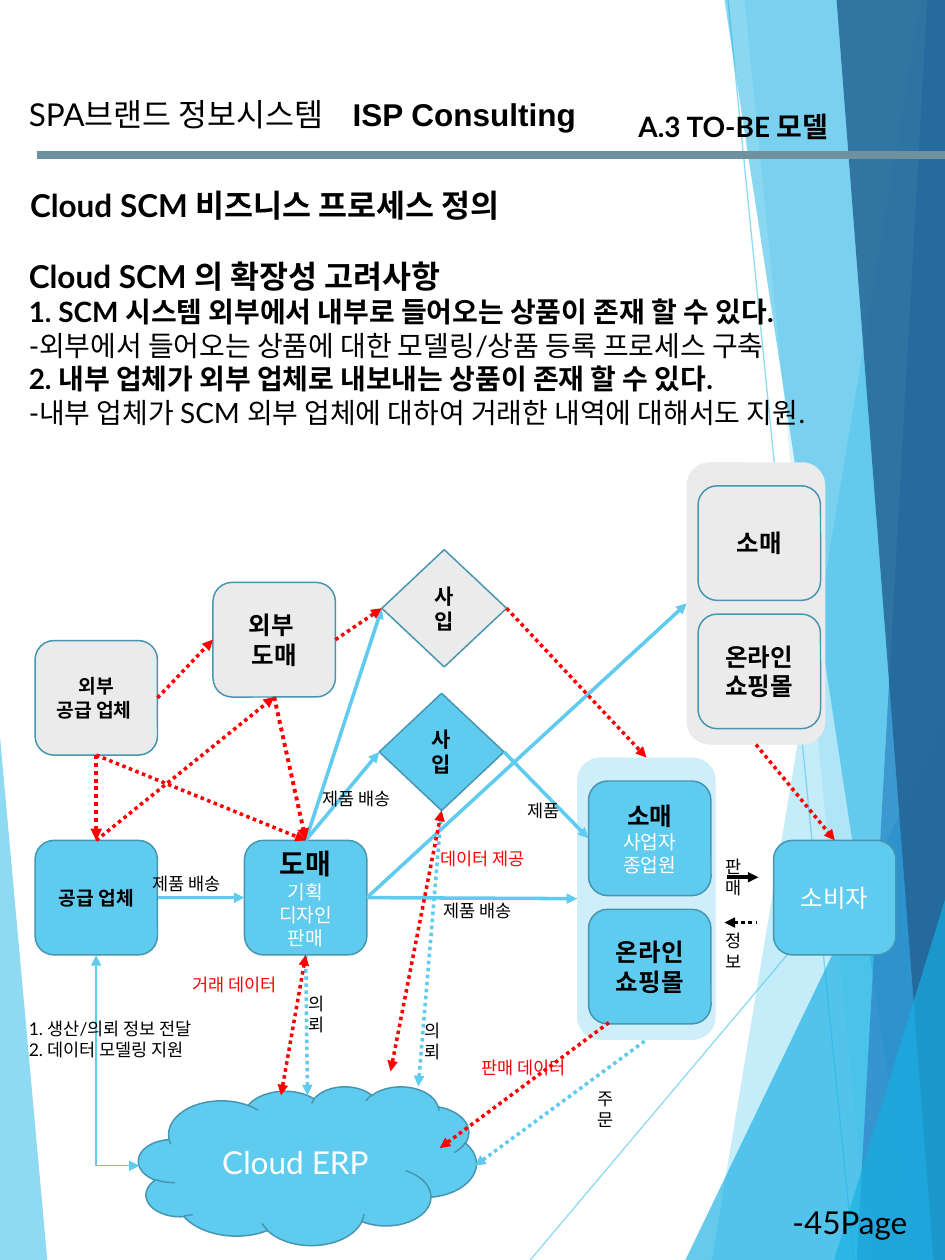
from lxml import etree
from pptx import Presentation
from pptx.dml.color import RGBColor
from pptx.enum.dml import MSO_LINE
from pptx.enum.shapes import MSO_CONNECTOR as LINK, MSO_SHAPE as SHAPE
from pptx.enum.text import MSO_ANCHOR, MSO_AUTO_SIZE, PP_ALIGN
from pptx.oxml.ns import qn
from pptx.util import Pt

WIDTH, HEIGHT = 540, 720
SKY, EDGE, GRAY = "5FCBEF", "4696B1", "EBEBEB"
BLACK, WHITE, RED = "000000", "FFFFFF", "FF0000"
NODE_W, NODE_H = 70, 65.5
TOP, LEFT, BOTTOM, RIGHT = range(4)


def rgb(color):
    return RGBColor.from_string(color)


def set_opacity(parent, percent):
    color = next(parent.iter(qn("a:srgbClr")))
    etree.SubElement(color, qn("a:alpha")).set("val", str(percent * 1000))


def paint(part, fill, edge=None, opacity=100):
    part.shadow.inherit = False
    part.fill.solid()
    part.fill.fore_color.rgb = rgb(fill)
    if opacity < 100:
        set_opacity(part._element.spPr, opacity)
    if edge:
        part.line.color.rgb = rgb(edge)
        part.line.width = Pt(0.85)
    else:
        part.line.fill.background()


def write(frame, rows, align=PP_ALIGN.LEFT, font="Lato"):
    """Fill a frame with rows of (words, size, color, bold)."""
    frame.word_wrap = True
    for index, (words, size, color, bold) in enumerate(rows):
        paragraph = frame.paragraphs[0] if index == 0 else frame.add_paragraph()
        paragraph.alignment = align
        run = paragraph.add_run()
        run.text = words
        run.font.name, run.font.size, run.font.bold = font, Pt(size), bold
        run.font.color.rgb = rgb(color)


def label(slide, x, y, w, h, rows, font="Lato"):
    frame = slide.shapes.add_textbox(Pt(x), Pt(y), Pt(w), Pt(h)).text_frame
    write(frame, rows, font=font)
    frame.auto_size = MSO_AUTO_SIZE.SHAPE_TO_FIT_TEXT


def node(slide, x, y, rows, fill=SKY, kind=SHAPE.ROUNDED_RECTANGLE, w=NODE_W, h=NODE_H):
    part = slide.shapes.add_shape(kind, Pt(x), Pt(y), Pt(w), Pt(h))
    paint(part, fill, EDGE)
    part.text_frame.vertical_anchor = MSO_ANCHOR.MIDDLE
    write(part.text_frame, rows, PP_ALIGN.CENTER)
    return part


def link(slide, start, end, color=SKY, width=2, dotted=False, heads="", kind=LINK.STRAIGHT):
    """Join two ends, each an (x, y) point or a (shape, side) pair."""
    start_at, end_at = ([Pt(v) for v in p] if isinstance(p[0], (int, float)) else None
                        for p in (start, end))
    connector = slide.shapes.add_connector(kind, *(start_at or (0, 0)), *(end_at or (0, 0)))
    if not start_at:
        connector.begin_connect(*start)
    if not end_at:
        connector.end_connect(*end)
    connector.line.color.rgb = rgb(color)
    connector.line.width = Pt(width)
    if dotted:
        connector.line.dash_style = MSO_LINE.ROUND_DOT
    outline = connector.line._get_or_add_ln()
    for mark, tag in (("<", "a:headEnd"), (">", "a:tailEnd")):
        if mark in heads:
            etree.SubElement(outline, qn(tag)).set("type", "triangle")
    etree.SubElement(connector._element.spPr, qn("a:effectLst"))
    return connector


def facet(slide, top_x, top_y, bottom_x, color, opacity, side=WIDTH):
    """Fill the area between a slanted edge and one side of the slide."""
    builder = slide.shapes.build_freeform(Pt(top_x), Pt(top_y), scale=1.0)
    corners = [(bottom_x, HEIGHT), (side, HEIGHT)]
    if top_x != side:
        corners.append((side, top_y))
    builder.add_line_segments([(Pt(x), Pt(y)) for x, y in corners])
    paint(builder.convert_to_shape(), color, opacity=opacity)


def backdrop(slide):
    facet(slide, 0, 421.2, 27, SKY, 70, side=0)
    for start, end in (((303, 720), (540, 438.5)), ((416, 0), (488, 720))):
        ray = link(slide, start, end, width=0.75)
        set_opacity(ray._element.spPr, 70)
    for edge in ((526.3, 0, 406.8, SKY, 36), (425.5, 0, 496.8, SKY, 20),
                 (540, 411.8, 391.7, "17B0E4", 66), (414, 0, 523.4, "17B0E4", 50),
                 (529.9, 0, 489.6, "2E83C3", 70), (478.1, 0, 533.5, "226292", 82),
                 (540, 514.1, 476.6, "17B0E4", 66)):
        facet(slide, *edge)


def header(slide, x, y):
    link(slide, (x + 11.5, y + 37.5), (WIDTH, y + 37.5), "6E91A0", 5)
    label(slide, x + 185, y, 149, 29, [("ISP Consulting", 18, BLACK, True)], "Arial")
    label(slide, x, y, 197.3, 29, [("SPA브랜드 정보시스템", 18, BLACK, False)])
    label(slide, x + 348.4, y + 8, 126.7, 26.6, [("A.3 TO-BE 모델", 16, BLACK, True)])


def considerations(slide, x, y):
    label(slide, x + 0.7, y, 296, 29, [("Cloud SCM 비즈니스 프로세스 정의", 18, BLACK, True)])
    label(slide, x, y + 40.3, 513.4, 128, [
        ("Cloud SCM 의 확장성 고려사항", 18, BLACK, True),
        ("1. SCM 시스템 외부에서 내부로 들어오는 상품이 존재 할 수 있다.", 16, BLACK, True),
        ("-외부에서 들어오는 상품에 대한 모델링/상품 등록 프로세스 구축", 16, BLACK, False),
        ("2. 내부 업체가 외부 업체로 내보내는 상품이 존재 할 수 있다.", 16, BLACK, True),
        ("-내부 업체가 SCM 외부 업체에 대하여 거래한 내역에 대해서도 지원.", 16, BLACK, False),
    ])


def bold(size, *lines):
    return [(words, size, BLACK, True) for words in lines]


def plain(size, *lines, color=WHITE):
    return [(words, size, color, False) for words in lines]


def retail_group(slide, x, y, fill, opacity, staff=()):
    """Draw the panel with its shop and online mall; return panel and shop."""
    panel = slide.shapes.add_shape(SHAPE.ROUNDED_RECTANGLE, Pt(x), Pt(y), Pt(79.2), Pt(161.3))
    paint(panel, fill, opacity=opacity)
    shop = node(slide, x + 6.5, y + 13.4, bold(14, "소매") + plain(11, *staff), fill)
    node(slide, x + 6.5, y + 86.7, bold(14, "온라인", "쇼핑몰"), fill)
    return panel, shop


def process_flow(slide, x, y):
    def at(dx, dy):
        return x + dx, y + dy

    def purchase(dx, dy, fill):
        return node(slide, *at(dx, dy), bold(12, "사입"), fill, SHAPE.DIAMOND, 71.3, 67)

    retail, shop = retail_group(slide, *at(309.8, 168.7), SKY, 30, ("사업자", "종업원"))
    outer_retail, _ = retail_group(slide, *at(372.4, 0), GRAY, 100)
    supplier = node(slide, *at(0, 216), bold(11, "공급 업체"))
    wholesale = node(slide, *at(119.7, 216), bold(16, "도매") + plain(11, "기획", "디자인", "판매"))
    consumer = node(slide, *at(422, 216), plain(14, "소비자"))
    outer_supplier = node(slide, *at(0, 101.8), bold(11, "외부", "공급 업체 "), GRAY)
    outer_wholesale = node(slide, *at(101.7, 68.6), bold(14, "외부 ", "도매"), GRAY)
    buying = purchase(196.7, 132, SKY)
    outer_buying = purchase(198.2, 49.9, GRAY)
    node(slide, *at(59.2, 356.6), plain(18, "Cloud ERP"), SKY, SHAPE.CLOUD, 193, 90.7)

    deliveries = [
        ((supplier, RIGHT), (wholesale, LEFT)), ((wholesale, TOP), (buying, LEFT)),
        ((buying, RIGHT), (shop, LEFT)), ((wholesale, RIGHT), (retail, LEFT)),
        ((wholesale, TOP), (outer_buying, LEFT)), ((wholesale, RIGHT), (outer_retail, LEFT)),
    ]
    for start, end in deliveries:
        link(slide, start, end, heads=">")

    requests = [(at(155.7, 361.7), (wholesale, BOTTOM)), (at(251.4, 402), (retail, BOTTOM)),
                (at(219, 356.6), (buying, BOTTOM))]
    for start, end in requests:
        link(slide, start, end, dotted=True, heads="<")

    outer_trades = [
        ((outer_supplier, BOTTOM), (supplier, TOP), 2.25),
        ((outer_supplier, BOTTOM), (wholesale, TOP), 2),
        ((outer_wholesale, BOTTOM), (wholesale, TOP), 2.25),
        ((outer_wholesale, RIGHT), (outer_buying, LEFT), 2),
        ((outer_buying, RIGHT), (retail, TOP), 2),
        ((outer_retail, BOTTOM), (consumer, TOP), 2),
        ((outer_supplier, RIGHT), (outer_wholesale, LEFT), 2),
        ((supplier, TOP), (outer_wholesale, BOTTOM), 2),
    ]
    for start, end, width in outer_trades:
        link(slide, start, end, RED, width, True, ">")

    data_feeds = [(at(231.3, 391.9), at(329.2, 319.2), "<"),
                  (at(203.2, 348), (buying, BOTTOM), "<>"),
                  (at(140.6, 361.7), (wholesale, BOTTOM), "<>")]
    for start, end, heads in data_feeds:
        link(slide, start, end, RED, dotted=True, heads=heads)

    link(slide, at(394, 263), at(412, 263), BLACK, dotted=True, heads="<")
    link(slide, at(395.4, 237.1), at(413.4, 237.1), BLACK, heads=">")

    support = link(slide, at(34.9, 281.7), at(59.7, 402), width=0.75, heads="<>", kind=LINK.ELBOW)
    support._element.spPr.find(qn("a:prstGeom")).set("prst", "bentConnector2")
    support._element.spPr.find(qn("a:xfrm")).set("rot", "10800000")

    captions = [
        ("제품 배송", 59.9, 231.4, 58.3, BLACK), ("제품 배송", 226.2, 246.5, 58.3, BLACK),
        ("제품 배송", 157.1, 182.4, 58.3, BLACK), ("제품", 274.5, 189.6, 36.7, BLACK),
        ("의뢰", 149.2, 299.8, 30.2, BLACK), ("의뢰", 215.4, 314.9, 30.2, BLACK),
        ("주문", 314.1, 353.8, 30.2, BLACK), ("정보", 387.5, 263.8, 30.2, BLACK),
        ("판매", 387.5, 221.3, 30.2, BLACK), ("판매 데이터", 247.8, 336.5, 68.4, RED),
        ("데이터 제공", 224.8, 217, 68.4, RED), ("거래 데이터", 83, 289, 68.4, RED),
    ]
    for words, dx, dy, w, color in captions:
        label(slide, *at(dx, dy), w, 16 if w < 36 else 19.4, plain(10, words, color=color))
    label(slide, *at(-10.6, 314.2), 118.8, 31.7,
          plain(10, "1. 생산/의뢰 정보 전달", "2. 데이터 모델링 지원", color=BLACK))


def main():
    deck = Presentation()
    deck.slide_width, deck.slide_height = Pt(WIDTH), Pt(HEIGHT)
    slide = deck.slides.add_slide(deck.slide_layouts[6])
    backdrop(slide)
    header(slide, 9.4, 51)
    considerations(slide, 9.4, 103)
    process_flow(slide, 20, 264.2)
    label(slide, 445.7, 684, 85, 29, plain(18, "-45Page-", color=BLACK))
    deck.save("out.pptx")


if __name__ == "__main__":
    main()
